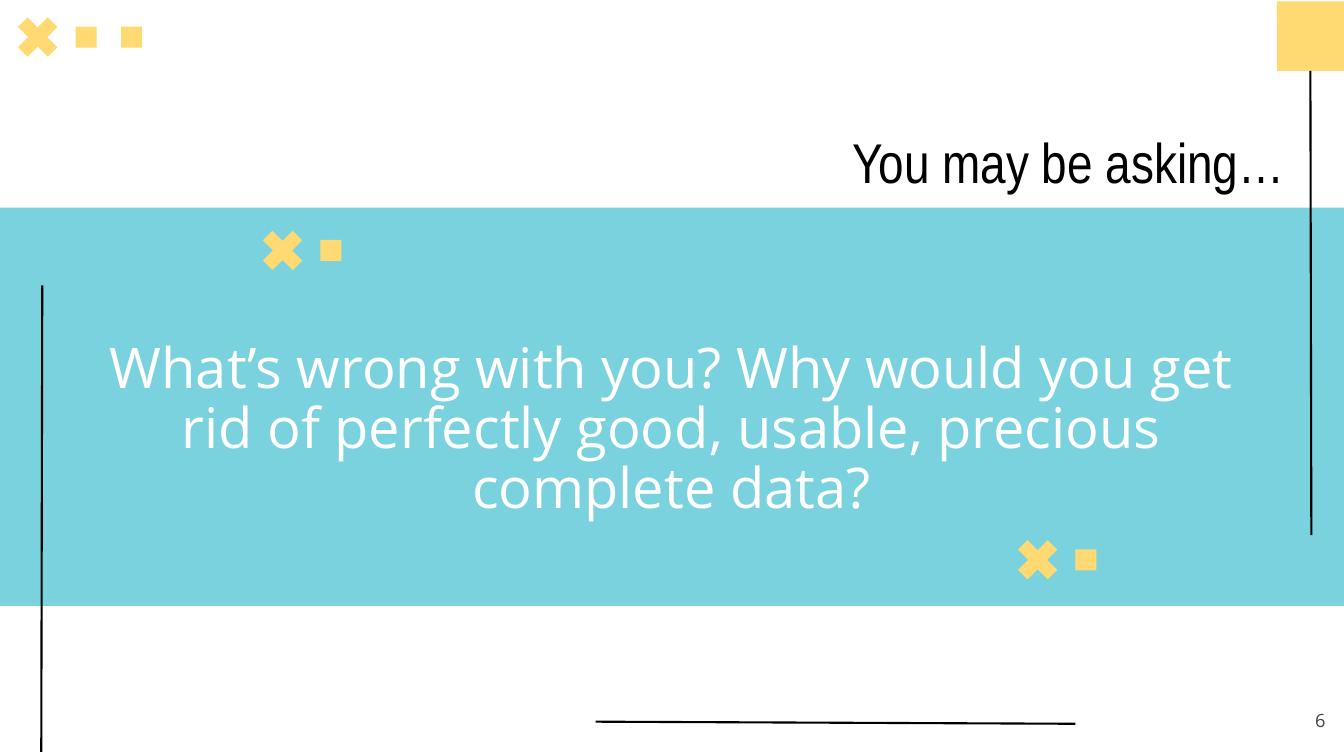
from dataclasses import dataclass

from lxml.etree import SubElement
from pptx import Presentation
from pptx.dml.color import RGBColor as Color
from pptx.enum.shapes import MSO_CONNECTOR as Link, MSO_SHAPE as Kind
from pptx.enum.text import MSO_ANCHOR as Anchor, PP_ALIGN as Align
from pptx.oxml.ns import qn
from pptx.util import Pt


@dataclass(frozen=True)
class Theme:
    teal: str = "7AD2DE"
    gold: str = "FFDA72"
    ink: str = "000000"
    white: str = "FFFFFF"
    gray: str = "434343"
    head: str = "Arial Narrow"
    body: str = "Open Sans"
    large: int = 40
    small: int = 13
    rule: float = 1.5


THEME = Theme()


def add_block(slide, kind, box, color):
    block = slide.shapes.add_shape(kind, *map(Pt, box))
    block.shadow.inherit = False
    block.fill.solid()
    block.fill.fore_color.rgb = Color.from_string(color)
    block.line.fill.background()
    return block


def add_rule(slide, start, end):
    rule = slide.shapes.add_connector(Link.STRAIGHT, *map(Pt, start + end))
    rule.line.color.rgb = Color.from_string(THEME.ink)
    rule.line.width = Pt(THEME.rule)
    SubElement(rule._element.spPr, qn("a:effectLst"))
    return rule


def add_motif(slide, left, top, count):
    cross = add_block(slide, Kind.MATH_MULTIPLY, (left, top, 41, 41), THEME.gold)
    cross.adjustments[0] = 0.235
    for step in range(count):
        box = (left + 47.5 + 32.5 * (step - 0), top + 13, 15, 15)
        add_block(slide, Kind.RECTANGLE, box, THEME.gold)


def add_text(slide, text, box, font, size, color, align, anchor, top=9.4, space=1):
    frame = slide.shapes.add_textbox(*map(Pt, box)).text_frame
    frame.word_wrap = True
    frame.vertical_anchor = anchor
    frame.margin_left = frame.margin_right = frame.margin_bottom = Pt(9.4)
    frame.margin_top = Pt(top)
    frame.text = text
    line = frame.paragraphs[0]
    line.alignment = align
    line.line_spacing = space
    style = line.runs[0].font
    style.name = font
    style.size = Pt(size)
    style.color.rgb = Color.from_string(color)


def main():
    deck = Presentation()
    deck.slide_width, deck.slide_height = Pt(960), Pt(540)
    slide = deck.slides.add_slide(deck.slide_layouts[6])

    add_block(slide, Kind.RECTANGLE, (0, 148.3, 960, 284.4), THEME.teal)
    corner = add_block(slide, Kind.RECTANGLE, (912, 1, 48, 49.7), THEME.gold)
    right = add_rule(slide, (936, 50.7), (936.7, 382.3))
    right.begin_connect(corner, 2)
    add_rule(slide, (30.2, 203.8), (29.5, 537.1))
    add_rule(slide, (425.5, 515.5), (768.2, 517))

    for left, top, count in ((6.5, 6, 2), (181.4, 158.4, 1), (720.7, 379.4, 1)):
        add_motif(slide, left, top, count)

    add_text(slide, "You may be asking…", (32.4, 77, 894.2, 59.8),
             THEME.head, THEME.large, THEME.ink, Align.RIGHT, Anchor.TOP, top=14)
    add_text(slide, "What’s wrong with you? Why would you get rid of "
             "perfectly good, usable, precious complete data?",
             (51.1, 221, 856.8, 172.8), THEME.body, THEME.large, THEME.white,
             Align.CENTER, Anchor.MIDDLE, space=0.89)
    add_text(slide, "6", (898.6, 499, 57.6, 41), THEME.body, THEME.small,
             THEME.gray, Align.RIGHT, Anchor.TOP)
    deck.save("out.pptx")


if __name__ == "__main__":
    main()
